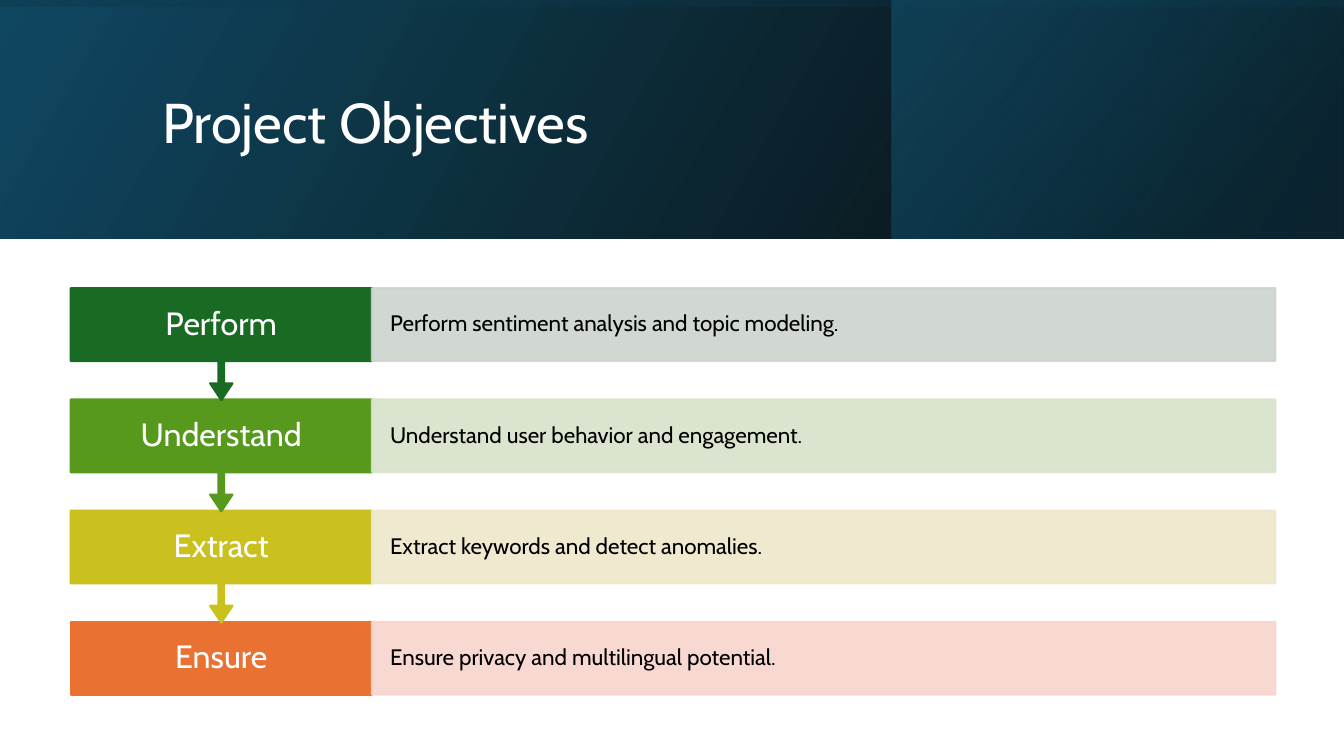
"""Build the Project Objectives slide: a gradient header above four linked steps."""
from typing import NamedTuple

import pptx
import pptx.dml.color
import pptx.enum.shapes
import pptx.enum.text
import pptx.oxml.ns
import pptx.util

Inches = pptx.util.Inches
Preset = pptx.enum.shapes.MSO_SHAPE
Align = pptx.enum.text.PP_ALIGN
FONT = "Cabin"
HEADER_HEIGHT = 2.37
LABEL_LEFT, LABEL_WIDTH, DETAIL_WIDTH = 0.7, 2.99, 8.96
FIRST_TOP, LAST_TOP = 2.86, 6.17
BAR_HEIGHT, CALLOUT_HEIGHT = 0.72, 1.11
CALLOUT_ADJUSTMENTS = (0.05, 0.1, 0.15, 0.65)


class Stop(NamedTuple):
    position: float
    color: str
    opacity: int


class HeaderLayer(NamedTuple):
    left: float
    top: float
    width: float
    height: float
    rotation: int
    angle: int
    stops: tuple[Stop, Stop]


class Step(NamedTuple):
    label: str
    detail: str
    color: str
    tint: str


HEADER_LAYERS = (
    HeaderLayer(0, 0, 13.33, HEADER_HEIGHT, 0, 30,
                (Stop(0, "000000", 96), Stop(1, "104862", 100))),
    HeaderLayer(8.84, 0, 4.48, HEADER_HEIGHT, 0, 40,
                (Stop(0.19, "0B3041", 68), Stop(1, "156082", 48))),
    HeaderLayer(5.48, -5.48, HEADER_HEIGHT, 13.33, 270, 10,
                (Stop(0.23, "104862", 16), Stop(0.99, "000000", 45))),
)
STEPS = (
    Step("Perform", "Perform sentiment analysis and topic modeling.", "196B24", "CCD4CD"),
    Step("Understand", "Understand user behavior and engagement.", "56991D", "D8E2CA"),
    Step("Extract", "Extract keywords and detect anomalies.", "CBC11E", "EEE7CB"),
    Step("Ensure", "Ensure privacy and multilingual potential.", "E97132", "F7D5CE"),
)


def rgb(value: str) -> pptx.dml.color.RGBColor:
    return pptx.dml.color.RGBColor.from_string(value)


def set_opacity(shape, opacities: list[int]) -> None:
    colors = shape._element.spPr.iter(pptx.oxml.ns.qn("a:srgbClr"))
    for color, opacity in zip(list(colors), opacities):
        alpha = color.makeelement(pptx.oxml.ns.qn("a:alpha"), {"val": str(opacity * 1000)})
        color.append(alpha)


def add_box(slide, preset, left: float, top: float, width: float, height: float):
    box = slide.shapes.add_shape(
        preset, Inches(left), Inches(top), Inches(width), Inches(height))
    box.shadow.inherit = False
    return box


def write(shape, text: str, size: int, color: str, align, inset_x: float, inset_y: float) -> None:
    frame = shape.text_frame
    frame.word_wrap = True
    frame.auto_size = pptx.enum.text.MSO_AUTO_SIZE.NONE
    frame.vertical_anchor = pptx.enum.text.MSO_ANCHOR.MIDDLE
    frame.margin_left = frame.margin_right = Inches(inset_x)
    frame.margin_top = frame.margin_bottom = Inches(inset_y)
    paragraph = frame.paragraphs[0]
    paragraph.alignment = align
    paragraph.line_spacing = 0.9
    run = paragraph.add_run()
    run.text = text
    run.font.name = FONT
    run.font.size = pptx.util.Pt(size)
    run.font.color.rgb = rgb(color)


def paint(shape, color: str) -> None:
    shape.fill.solid()
    shape.fill.fore_color.rgb = rgb(color)
    shape.line.color.rgb = rgb(color)
    shape.line.width = pptx.util.Pt(1.5)


def add_header_layer(slide, layer: HeaderLayer) -> None:
    band = add_box(slide, Preset.RECTANGLE, layer.left, layer.top, layer.width, layer.height)
    band.rotation = layer.rotation
    band._element.spPr.find(pptx.oxml.ns.qn("a:xfrm")).set("flipH", "1")
    band.line.fill.background()
    band.fill.gradient()
    band.fill.gradient_angle = layer.angle
    for gradient_stop, stop in zip(band.fill.gradient_stops, layer.stops):
        gradient_stop.position = stop.position
        gradient_stop.color.rgb = rgb(stop.color)
    set_opacity(band, [stop.opacity for stop in layer.stops])


def add_step(slide, step: Step, top: float, has_next: bool) -> None:
    preset = Preset.DOWN_ARROW_CALLOUT if has_next else Preset.RECTANGLE
    height = CALLOUT_HEIGHT if has_next else BAR_HEIGHT
    label = add_box(slide, preset, LABEL_LEFT, top, LABEL_WIDTH, height)
    if has_next:
        for index, adjustment in enumerate(CALLOUT_ADJUSTMENTS):
            label.adjustments[index] = adjustment
    paint(label, step.color)
    write(label, step.label, 23, "FFFFFF", Align.CENTER, 0.21, 0.18)

    detail = add_box(slide, Preset.RECTANGLE, LABEL_LEFT + LABEL_WIDTH, top,
                     DETAIL_WIDTH, BAR_HEIGHT)
    paint(detail, step.tint)
    set_opacity(detail, [90, 90])
    write(detail, step.detail, 16, "000000", Align.LEFT, 0.18, 0.22)


def main() -> None:
    deck = pptx.Presentation()
    deck.slide_width, deck.slide_height = Inches(13.33), Inches(7.5)
    slide = deck.slides.add_slide(deck.slide_layouts[5])

    for layer in HEADER_LAYERS:
        add_header_layer(slide, layer)

    title = slide.shapes.title
    slide.shapes._spTree.append(title._element)
    title.left, title.top = Inches(1.51), Inches(0.38)
    title.width, title.height = Inches(10.63), Inches(1.72)
    write(title, "Project Objectives", 40, "FFFFFF", Align.LEFT, 0.1, 0.05)

    last = len(STEPS) - 1
    pitch = (LAST_TOP - FIRST_TOP) / last
    for index, step in reversed(list(enumerate(STEPS))):
        add_step(slide, step, FIRST_TOP + index * pitch, index < last)

    deck.save("out.pptx")


if __name__ == "__main__":
    main()
